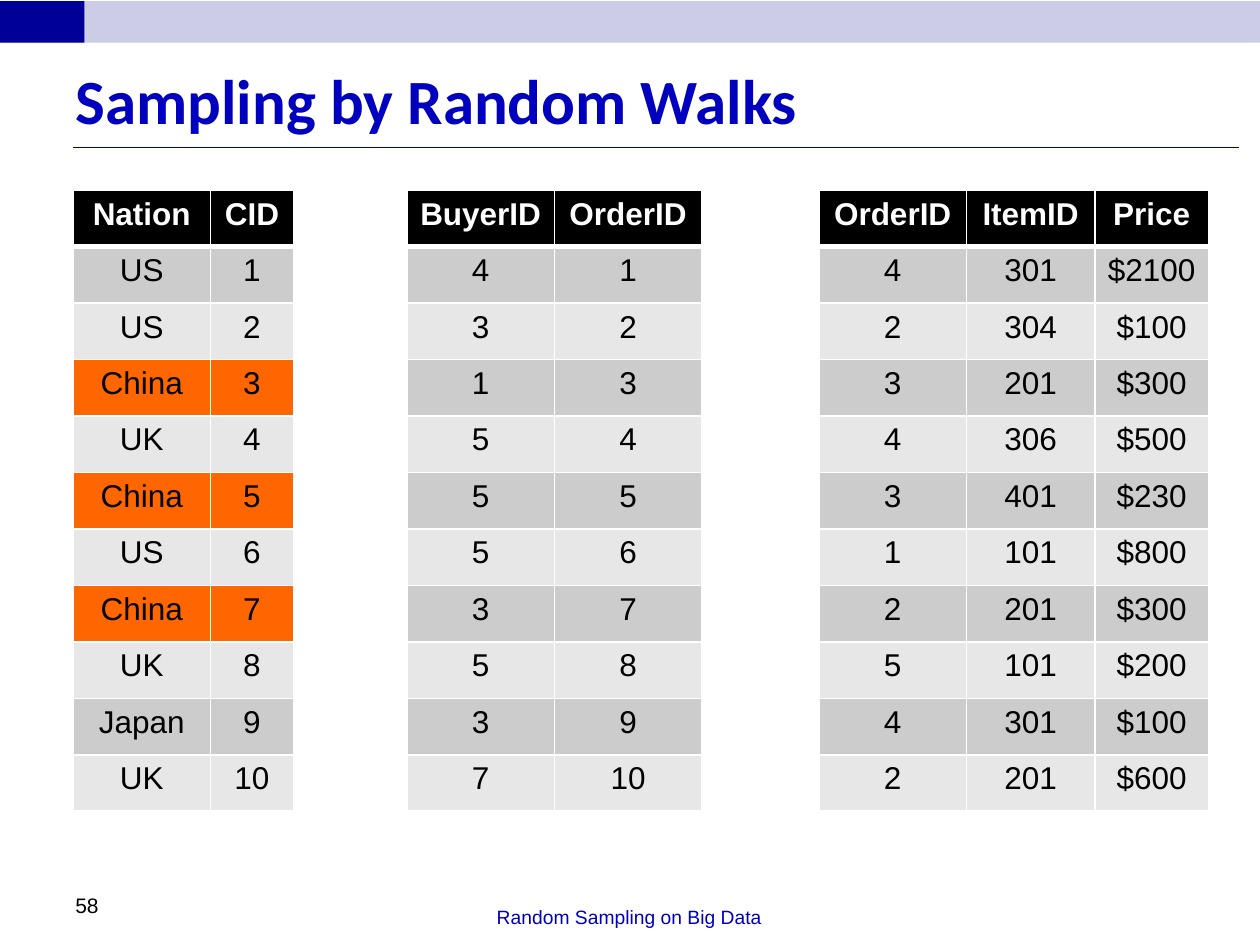
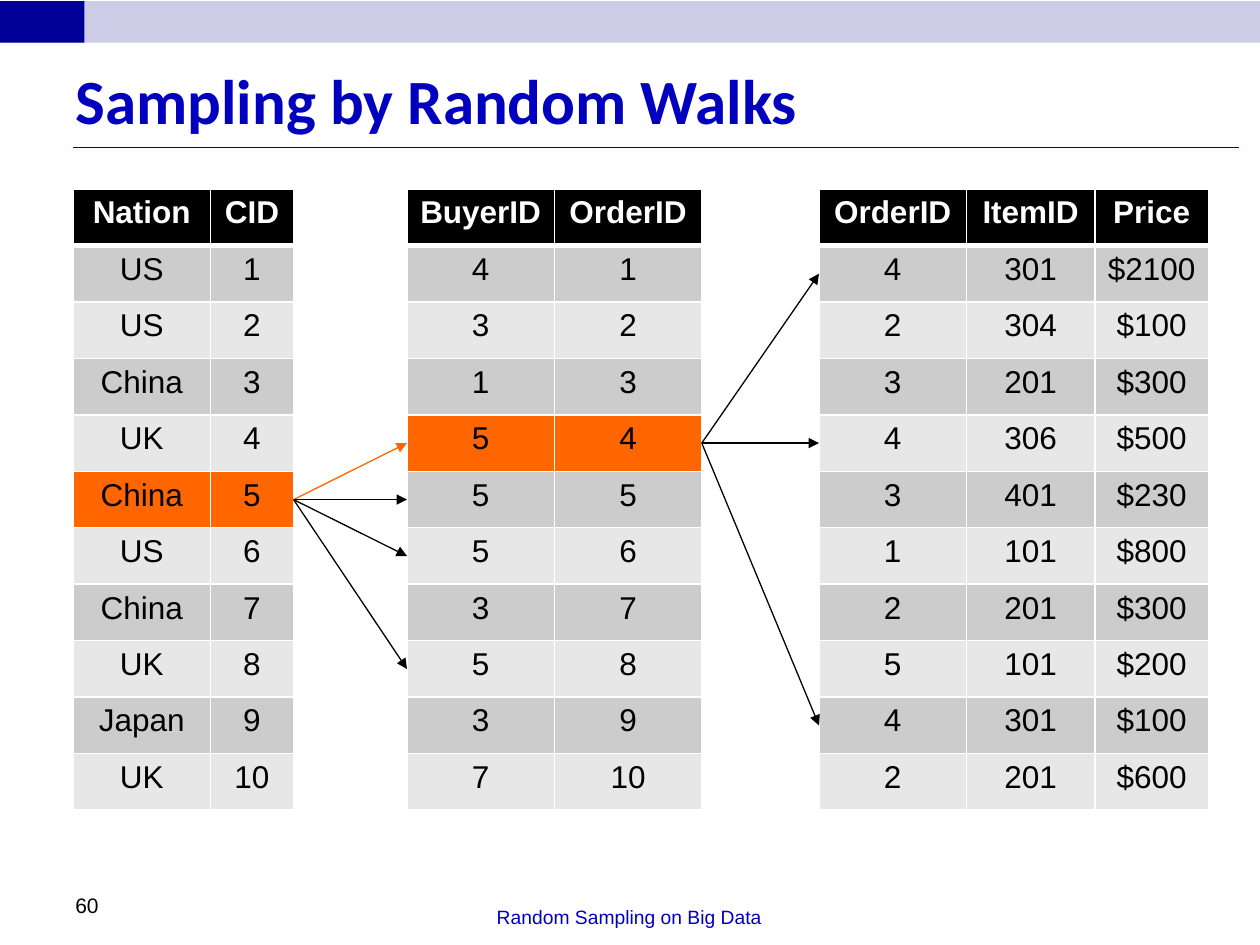
from pptx import Presentation
from pptx.dml.color import RGBColor
from pptx.enum.shapes import MSO_CONNECTOR, MSO_SHAPE
from pptx.enum.text import MSO_ANCHOR, PP_ALIGN
from pptx.oxml.ns import qn
from pptx.util import Inches, Pt
from lxml.etree import SubElement

BLACK = RGBColor(0x00, 0x00, 0x00)
WHITE = RGBColor(0xFF, 0xFF, 0xFF)
NAVY = RGBColor(0x00, 0x00, 0x99)
BLUE = RGBColor(0x00, 0x00, 0xBE)
PALE = RGBColor(0xCC, 0xCC, 0xE6)
DARK = RGBColor(0xCC, 0xCC, 0xCC)
LIGHT = RGBColor(0xE7, 0xE7, 0xE7)
ORANGE = RGBColor(0xFF, 0x66, 0x00)

TITLE = "Sampling by Random Walks"
FOOTER = "Random Sampling on Big Data"

TABLES = {
    "buyers": (0.58, [1.09, 0.66], [
        ("Nation", "CID"),
        ("US", 1), ("US", 2), ("China", 3), ("UK", 4), ("China", 5),
        ("US", 6), ("China", 7), ("UK", 8), ("Japan", 9), ("UK", 10)]),
    "orders": (3.23, [1.17, 1.17], [
        ("BuyerID", "OrderID"),
        (4, 1), (3, 2), (1, 3), (5, 4), (5, 5),
        (5, 6), (3, 7), (5, 8), (3, 9), (7, 10)]),
    "items": (6.5, [1.17, 1.02, 0.9], [
        ("OrderID", "ItemID", "Price"),
        (4, 301, "$2100"), (2, 304, "$100"), (3, 201, "$300"),
        (4, 306, "$500"), (3, 401, "$230"), (1, 101, "$800"),
        (2, 201, "$300"), (5, 101, "$200"), (4, 301, "$100"),
        (2, 201, "$600")]),
}
HEIGHT = 4.93
STEP = HEIGHT / 11

SLIDES = [
    {"number": 58, "top": 1.51, "marked": {"buyers": [3, 5, 7]}, "walks": []},
    {"number": 60, "top": 1.5, "marked": {"buyers": [5], "orders": [4]},
     "walks": [("buyers", 5, "orders", [4, 5, 6, 8], 4),
               ("orders", 4, "items", [1, 4, 9], None)]},
]


def write(frame, words, size=18, font="Arial", color=BLACK, bold=False,
          align=PP_ALIGN.LEFT, anchor=None):
    if anchor is not None:
        frame.word_wrap = True
        frame.vertical_anchor = anchor
    para = frame.paragraphs[0]
    para.alignment = align
    run = para.add_run()
    run.text = str(words)
    run.font.size = Pt(size)
    run.font.name = font
    run.font.bold = bold
    run.font.color.rgb = color


def add_band(slide, width, color):
    band = slide.shapes.add_shape(MSO_SHAPE.RECTANGLE, 0, Inches(0.01),
                                  Inches(width), Inches(0.33))
    band.shadow.inherit = False
    band.fill.solid()
    band.fill.fore_color.rgb = color
    band.line.fill.background()


def add_line(slide, x1, y1, x2, y2, color, arrow=False):
    line = slide.shapes.add_connector(
        MSO_CONNECTOR.STRAIGHT, *map(Inches, (x1, y1, x2, y2)))
    line.line.color.rgb = color
    line.line.width = Pt(0.75)
    if arrow:
        SubElement(line.line._get_or_add_ln(), qn("a:tailEnd"), type="triangle")
    SubElement(line._element.spPr, qn("a:effectLst"))


def add_label(slide, place, words, **style):
    box = slide.shapes.add_textbox(*map(Inches, place))
    write(box.text_frame, words, anchor=MSO_ANCHOR.BOTTOM, **style)


def add_frame(slide, number):
    add_band(slide, 10, PALE)
    add_band(slide, 0.67, NAVY)
    add_line(slide, 0.58, 1.17, 9.83, 1.17, NAVY)
    title = slide.shapes.title
    title.left, title.top, title.width, title.height = map(
        Inches, (0.5, 0.33, 9.5, 0.92))
    write(title.text_frame, TITLE, size=36, font="Calibri", color=BLUE,
          bold=True, anchor=MSO_ANCHOR.MIDDLE)
    add_label(slide, (2.58, 6.92, 4.83, 0.5), FOOTER, size=11, color=BLUE,
              align=PP_ALIGN.CENTER)
    add_label(slide, (0.5, 6.83, 2.33, 0.5), number, size=12)


def add_edges(cell, row):
    thick = {0: "B", 1: "T"}.get(row)
    for side in "LRTB":
        width = Pt(3 if side == thick else 1)
        edge = SubElement(cell._tc.get_or_add_tcPr(), qn("a:ln" + side),
                          w=str(width))
        fill = SubElement(edge, qn("a:solidFill"))
        SubElement(fill, qn("a:srgbClr"), val=str(WHITE))


def add_grid(slide, name, top, marked):
    left, widths, rows = TABLES[name]
    grid = slide.shapes.add_table(
        len(rows), len(widths), Inches(left), Inches(top),
        Inches(sum(widths)), Inches(HEIGHT)).table
    for col, width in zip(grid.columns, widths):
        col.width = Inches(width)
    for r, row in enumerate(rows):
        grid.rows[r].height = Inches(STEP)
        head = r == 0
        shade = (BLACK if head else ORANGE if r in marked
                 else DARK if r % 2 else LIGHT)
        for c, value in enumerate(row):
            cell = grid.cell(r, c)
            add_edges(cell, r)
            cell.fill.solid()
            cell.fill.fore_color.rgb = shade
            write(cell.text_frame, value, color=WHITE if head else BLACK,
                  bold=head, align=PP_ALIGN.CENTER)


def add_walk(slide, top, start, row, goal, ends, chosen):
    left, widths, _ = TABLES[start]
    for end in ends:
        add_line(slide, left + sum(widths), top + (row + 0.5) * STEP,
                 TABLES[goal][0], top + (end + 0.5) * STEP,
                 ORANGE if end == chosen else BLACK, arrow=True)


def main():
    deck = Presentation()
    deck.slide_width, deck.slide_height = Inches(10), Inches(7.5)
    for page in SLIDES:
        slide = deck.slides.add_slide(deck.slide_layouts[5])
        add_frame(slide, page["number"])
        for name in TABLES:
            add_grid(slide, name, page["top"], page["marked"].get(name, []))
        for walk in page["walks"]:
            add_walk(slide, page["top"], *walk)
    deck.save("out.pptx")


if __name__ == "__main__":
    main()
